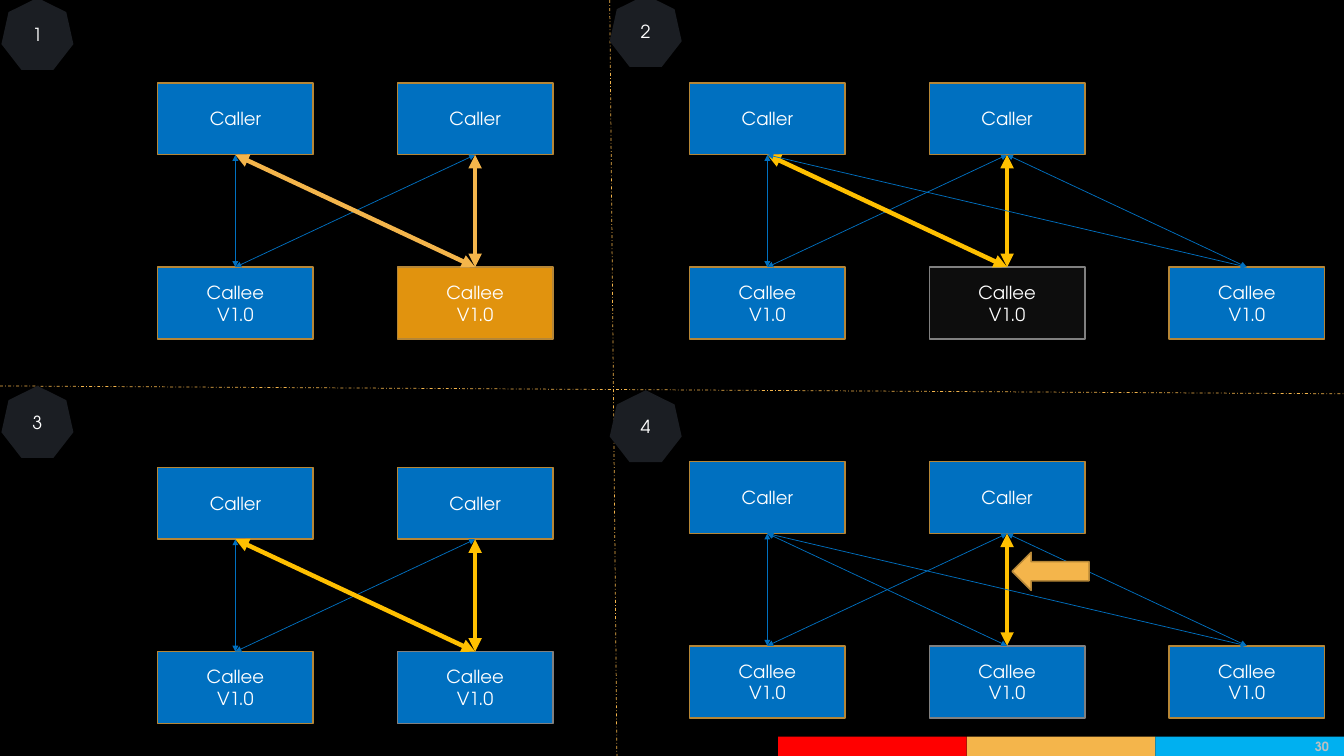
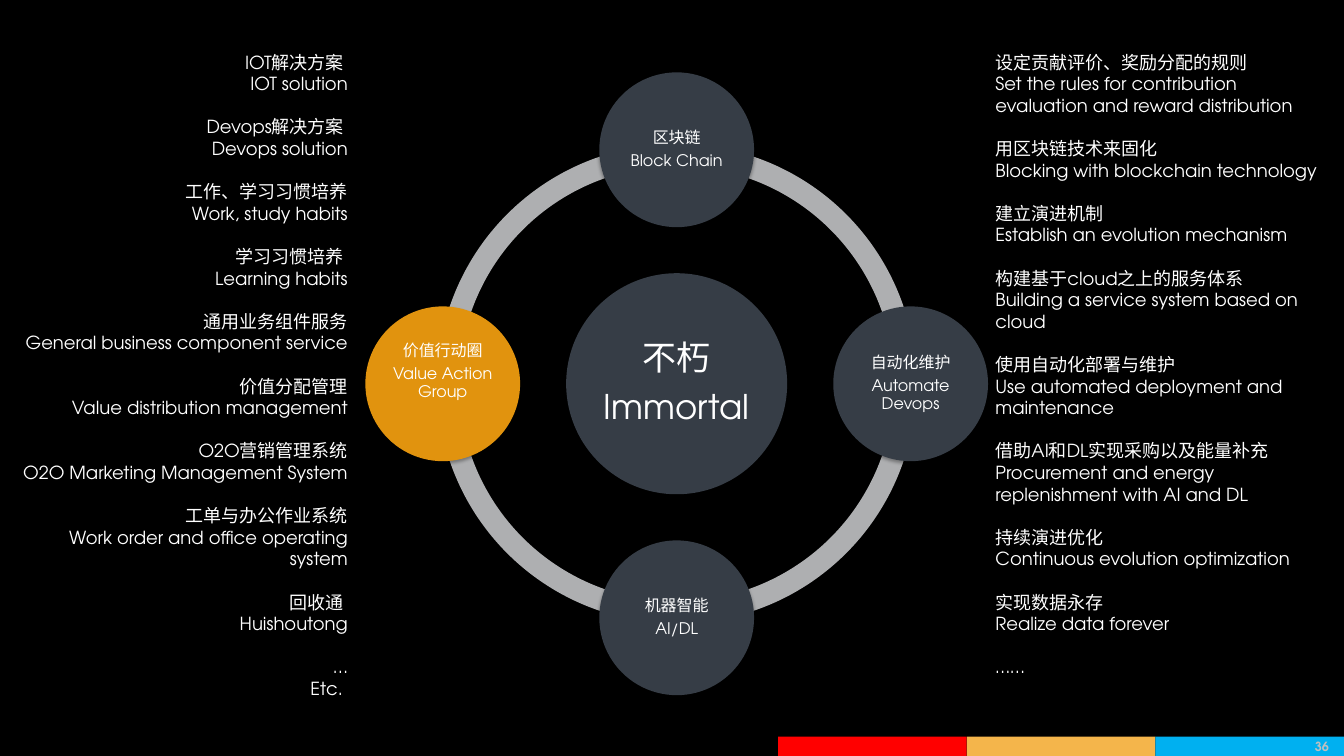
from dataclasses import dataclass
from typing import NamedTuple

from lxml.etree import SubElement
from pptx import Presentation
from pptx.dml.color import RGBColor
from pptx.enum.dml import MSO_LINE
from pptx.enum.shapes import MSO_CONNECTOR, MSO_SHAPE
from pptx.enum.text import MSO_ANCHOR, MSO_AUTO_SIZE, PP_ALIGN
from pptx.oxml.ns import qn
from pptx.util import Inches, Pt

WIDTH, HEIGHT = 18.67, 10.5
FONT = "TeX Gyre Adventor"
BLACK, WHITE, PAGE_GREY = "000000", "FFFFFF", "BFBFBF"
BLUE, AMBER, SAND, YELLOW = "0070C0", "E1930E", "F4B54B", "FFC000"
BRONZE, GREY, COAL, BADGE = "B58637", "808080", "0D0D0D", "1B1E23"
SLATE, RING = "363D46", "AEAFB1"
BANDS = ("FF0000", SAND, "00B0F0")
BAND_W, BAND_H = 2.62, 0.27

BOX_W, BOX_H = 2.16, 1
COL_STEP, ROW_STEP = 3.33, 2.56

CENTER_X, CENTER_Y = 9.4, 5.33
RING_D, HUB_D, NODE_D, ORBIT = 6.66, 3.07, 2.15, 3.25
QUARTER = 54


class Box(NamedTuple):
    x: float
    y: float
    w: float
    h: float


class Link(NamedTuple):
    caller: int
    callee: int
    color: str = BLUE
    width: float = 0.75


class Callee(NamedTuple):
    fill: str = BLUE
    line: str = BRONZE


@dataclass(frozen=True)
class Panel:
    number: str
    badge: tuple[float, float]
    left: float
    top: float
    callees: tuple[Callee, ...]
    links: tuple[Link, ...]


@dataclass(frozen=True)
class Node:
    lines: tuple[str, ...]
    dx: int
    dy: int
    fill: str = SLATE
    lift: float = 0


@dataclass(frozen=True)
class Column:
    box: Box
    align: PP_ALIGN
    groups: tuple[tuple[str, ...], ...]


PANELS = (
    Panel("1", (0.02, -0.03), 2.19, 1.15, (Callee(), Callee(AMBER)),
          (Link(0, 0), Link(1, 0), Link(0, 1, SAND, 4.5), Link(1, 1, SAND, 4.5))),
    Panel("2", (8.47, -0.07), 9.58, 1.15, (Callee(), Callee(COAL, GREY), Callee()),
          (Link(0, 0), Link(1, 0), Link(1, 1, YELLOW, 4.5), Link(0, 1, YELLOW, 4.5),
           Link(1, 2), Link(0, 2))),
    Panel("3", (0.02, 5.36), 2.19, 6.49, (Callee(), Callee(BLUE, GREY)),
          (Link(0, 0), Link(1, 0), Link(1, 1, YELLOW, 4.5), Link(0, 1, YELLOW, 4.5))),
    Panel("4", (8.47, 5.42), 9.58, 6.41, (Callee(), Callee(BLUE, GREY), Callee()),
          (Link(0, 0), Link(1, 0), Link(1, 1, YELLOW, 4.5), Link(0, 1),
           Link(1, 2), Link(0, 2))),
)

NODES = (
    Node(("区块链", "Block Chain"), 0, -1),
    Node(("自动化维护", "Automate Devops"), 1, 0),
    Node(("机器智能", "AI/DL"), 0, 1),
    Node(("价值行动圈", "Value Action Group"), -1, 0, AMBER, 0.33),
)

COLUMNS = (
    Column(Box(13.73, 0.66, 4.72, 9.19), PP_ALIGN.LEFT, (
        ("设定贡献评价、奖励分配的规则",
         "Set the rules for contribution evaluation and reward distribution"),
        ("用区块链技术来固化", "Blocking with blockchain technology"),
        ("建立演进机制", "Establish an evolution mechanism"),
        ("构建基于cloud之上的服务体系", "Building a service system based on cloud"),
        ("使用自动化部署与维护", "Use automated deployment and maintenance"),
        ("借助AI和DL实现采购以及能量补充",
         "Procurement and energy replenishment with AI and DL"),
        ("持续演进优化", "Continuous evolution optimization"),
        ("实现数据永存", "Realize data forever"),
        ("……",),
    )),
    Column(Box(0, 0.66, 4.93, 9.49), PP_ALIGN.RIGHT, (
        ("IOT解决方案 ", "IOT solution"),
        ("Devops解决方案 ", "Devops solution"),
        ("工作、学习习惯培养", "Work, study habits"),
        ("学习习惯培养 ", "Learning habits"),
        ("通用业务组件服务", "General business component service"),
        ("价值分配管理", "Value distribution management"),
        ("O2O营销管理系统", "O2O Marketing Management System"),
        ("工单与办公作业系统", "Work order and office operating system"),
        ("回收通 ", "Huishoutong"),
        ("…", "Etc. "),
    )),
)


def rgb(value: str) -> RGBColor:
    return RGBColor.from_string(value)


def place(box: Box) -> list:
    return [Inches(v) for v in box]


def around(x: float, y: float, size: float) -> Box:
    return Box(x - size / 2, y - size / 2, size, size)


def write(s, lines, size: float = 18, align=PP_ALIGN.CENTER, color: str = WHITE,
          bold: bool = False, anchor=MSO_ANCHOR.MIDDLE) -> list:
    tf = s.text_frame
    tf.word_wrap = True
    tf.vertical_anchor = anchor
    tf.text = "\n".join(lines)
    for p in tf.paragraphs:
        p.alignment = align
        for r in p.runs:
            r.font.name = FONT
            r.font.size = Pt(size)
            r.font.bold = bold
            r.font.color.rgb = rgb(color)
    return list(tf.paragraphs)


def add_shape(slide, kind, box: Box, fill: str, line: str = ""):
    s = slide.shapes.add_shape(kind, *place(box))
    s.shadow.inherit = False
    s.fill.solid()
    s.fill.fore_color.rgb = rgb(fill)
    if line:
        s.line.color.rgb = rgb(line)
        s.line.width = Pt(1.5)
    else:
        s.line.fill.background()
    return s


def add_line(slide, start, end, color: str, width: float):
    s = slide.shapes.add_connector(
        MSO_CONNECTOR.STRAIGHT, *[Inches(v) for v in (*start, *end)])
    s.line.color.rgb = rgb(color)
    s.line.width = Pt(width)
    SubElement(s._element.spPr, qn("a:effectLst"))
    return s


def add_shadow(s) -> None:
    effects = s._element.spPr.find(qn("a:effectLst"))
    shadow = SubElement(effects, qn("a:outerShdw"), blurRad=str(Pt(3.5)),
                        dist=str(Pt(2.2)), dir="5400000", rotWithShape="0")
    color = SubElement(shadow, qn("a:srgbClr"), val=BLACK)
    SubElement(color, qn("a:alpha"), val="32000")


def add_slide(prs, page: str):
    slide = prs.slides.add_slide(prs.slide_layouts[6])
    top = HEIGHT - BAND_H
    for i, color in enumerate(BANDS):
        left = WIDTH - BAND_W * (len(BANDS) - i)
        add_shape(slide, MSO_SHAPE.RECTANGLE, Box(left, top, BAND_W, BAND_H), color)
    s = slide.shapes.add_textbox(*place(Box(17.72, top, 0.84, BAND_H)))
    write(s, [page], 12.6, PP_ALIGN.RIGHT, PAGE_GREY, True)
    return slide


def draw_panel(slide, panel: Panel) -> None:
    def box_at(col: int, row: int) -> Box:
        return Box(panel.left + col * COL_STEP, panel.top + row * ROW_STEP, BOX_W, BOX_H)

    for col in range(2):
        s = add_shape(slide, MSO_SHAPE.RECTANGLE, box_at(col, 0), BLUE, BRONZE)
        write(s, ["Caller"])
    for col, callee in enumerate(panel.callees):
        s = add_shape(slide, MSO_SHAPE.RECTANGLE, box_at(col, 1), *callee)
        write(s, ["Callee", "V1.0"])
    for link in panel.links:
        start, end = box_at(link.caller, 0), box_at(link.callee, 1)
        s = add_line(slide, (start.x + BOX_W / 2, start.y + BOX_H),
                     (end.x + BOX_W / 2, end.y), link.color, link.width)
        for tip in ("a:headEnd", "a:tailEnd"):
            SubElement(s.line._get_or_add_ln(), qn(tip), type="triangle")
    badge = add_shape(slide, MSO_SHAPE.HEPTAGON, Box(*panel.badge, 1, 1), BADGE)
    write(badge, [panel.number])


def draw_circle(slide, box: Box, lines, fill: str, size: float,
                inset: float, lift: float = 0) -> None:
    s = add_shape(slide, MSO_SHAPE.OVAL, box, fill)
    add_shadow(s)
    for p in write(s, lines, size):
        p.line_spacing = 0.9
        p.space_after = Pt(round(size * 0.35, 1))
    tf = s.text_frame
    tf.margin_left = tf.margin_right = tf.margin_top = Inches(inset)
    tf.margin_bottom = Inches(inset + lift)


def draw_column(slide, column: Column) -> None:
    s = slide.shapes.add_textbox(*place(column.box))
    lines = [line for group in column.groups for line in group]
    paragraphs = write(s, lines, align=column.align, anchor=MSO_ANCHOR.TOP)
    s.text_frame.auto_size = MSO_AUTO_SIZE.SHAPE_TO_FIT_TEXT
    first = 0
    for group in column.groups:
        if first:
            paragraphs[first].space_before = Pt(21.6)
        first += len(group)


def build_upgrade(prs) -> None:
    slide = add_slide(prs, "30")
    for start, end in (((0, 5.36), (WIDTH, 5.47)), ((8.47, 0), (8.57, HEIGHT))):
        add_line(slide, start, end, SAND, 0.75).line.dash_style = MSO_LINE.DASH_DOT
    for panel in PANELS:
        draw_panel(slide, panel)
    add_shape(slide, MSO_SHAPE.LEFT_ARROW, Box(14.06, 7.67, 1.07, 0.53), SAND, BRONZE)


def build_cycle(prs) -> None:
    slide = add_slide(prs, "36")
    for i in range(4):
        s = add_shape(slide, MSO_SHAPE.BLOCK_ARC, around(CENTER_X, CENTER_Y, RING_D), RING)
        for k, value in enumerate((i * QUARTER, (i + 1) % 4 * QUARTER, 0.046)):
            s.adjustments[k] = value
        add_shadow(s)
    draw_circle(slide, around(CENTER_X, CENTER_Y, HUB_D), ("不朽", "Immortal"),
                SLATE, 34, 0.05)
    for node in NODES:
        box = around(CENTER_X + node.dx * ORBIT, CENTER_Y + node.dy * ORBIT, NODE_D)
        draw_circle(slide, box, node.lines, node.fill, 16, 0.02, node.lift)
    for column in COLUMNS:
        draw_column(slide, column)


def main() -> None:
    prs = Presentation()
    prs.slide_width, prs.slide_height = Inches(WIDTH), Inches(HEIGHT)
    background = prs.slide_master.background.fill
    background.solid()
    background.fore_color.rgb = rgb(BLACK)
    build_upgrade(prs)
    build_cycle(prs)
    prs.save("out.pptx")


if __name__ == "__main__":
    main()
